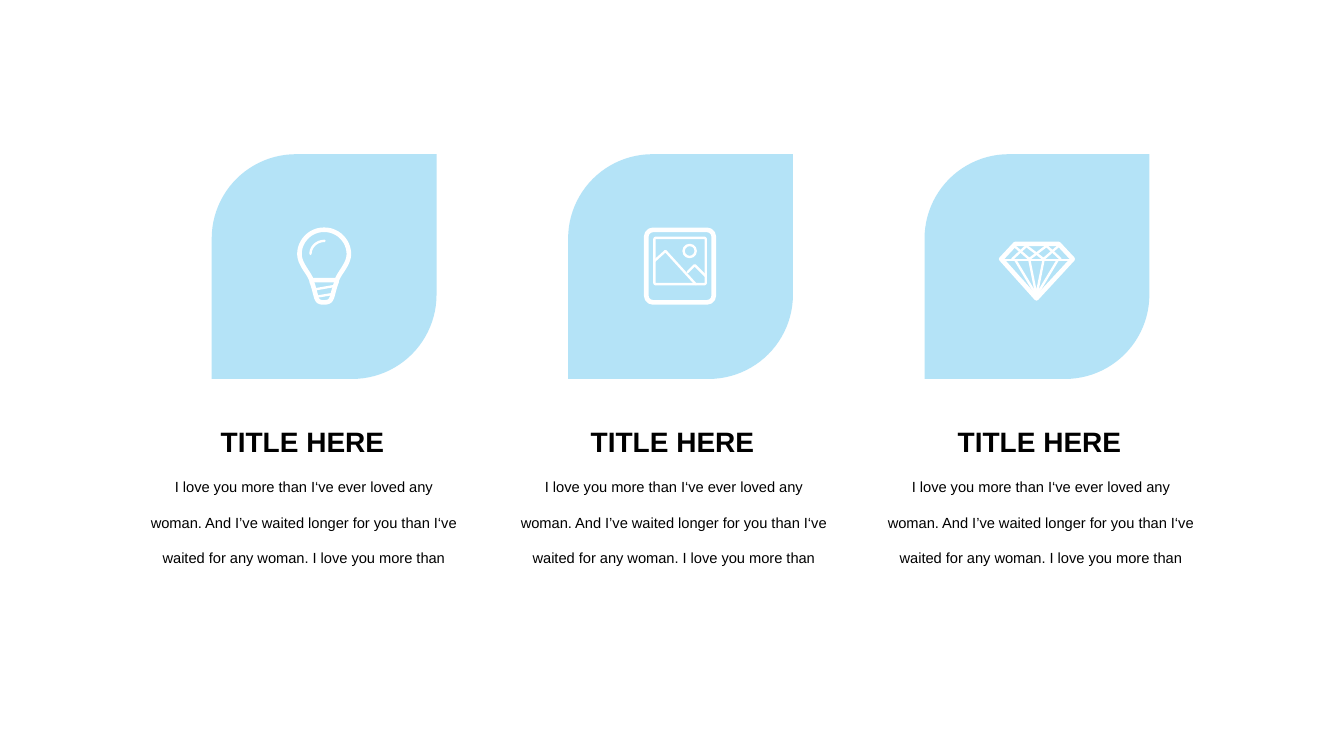
import dataclasses
import pptx
import pptx.dml.color
import pptx.enum.shapes
import pptx.enum.text
import pptx.oxml
import pptx.oxml.ns
import pptx.util
import lxml.etree

Inches = pptx.util.Inches
Pt = pptx.util.Pt
SHAPE = pptx.enum.shapes.MSO_SHAPE
ALIGN = pptx.enum.text.PP_ALIGN
QN = pptx.oxml.ns.qn


@dataclasses.dataclass(frozen=True)
class Theme:
    font: str = "Arial"
    leaf: str = "B4E3F7"
    icon: str = "FFFFFF"
    text: str = "000000"
    title_size: float = 20
    body_size: float = 10.5
    thick: float = 3.3
    thin: float = 1.7


def curve(start, *cubics, steps=12):
    points = [start]
    for b, c, d in cubics:
        a = points[-1]
        for i in range(1, steps + 1):
            t = i / steps
            weights = ((1 - t) ** 3, 3 * t * (1 - t) ** 2, 3 * t * t * (1 - t), t ** 3)
            points.append(tuple(sum(w * p[k] for w, p in zip(weights, (a, b, c, d)))
                                for k in (0, 1)))
    return points


class Slide:
    def __init__(self, prs, theme):
        self.theme = theme
        self.s = prs.slides.add_slide(prs.slide_layouts[6])

    def color(self, value):
        return pptx.dml.color.RGBColor.from_string(value)

    def outline(self, sp, width):
        sp.line.color.rgb = self.color(self.theme.icon)
        sp.line.width = Pt(width)
        ln = sp.line._get_or_add_ln()
        ln.set("cap", "rnd")
        for bevel in ln.findall(QN("a:round")):
            ln.remove(bevel)
        lxml.etree.SubElement(ln, QN("a:round"))

    def leaf(self, left, top, size):
        sp = self.s.shapes.add_shape(SHAPE.ROUND_2_DIAG_RECTANGLE, Inches(left),
                                     Inches(top), Inches(size), Inches(size))
        sp.adjustments[0] = 0.375
        sp.adjustments[1] = 0
        sp.shadow.inherit = False
        sp.fill.solid()
        sp.fill.fore_color.rgb = self.color(self.theme.leaf)
        sp.line.fill.background()

    def frame(self, kind, box, width, corner=None):
        sp = self.s.shapes.add_shape(kind, *(Inches(v) for v in box))
        if corner is not None:
            sp.adjustments[0] = corner
        sp.shadow.inherit = False
        sp.fill.background()
        self.outline(sp, width)

    def stroke(self, points, width, close=False):
        points = [(Inches(x), Inches(y)) for x, y in points]
        builder = self.s.shapes.build_freeform(*points[0], scale=1.0)
        builder.add_line_segments(points[1:], close=close)
        sp = builder.convert_to_shape()
        sp.shadow.inherit = False
        sp.fill.background()
        self.outline(sp, width)

    def line(self, start, end, width):
        sp = self.s.shapes.add_connector(pptx.enum.shapes.MSO_CONNECTOR.STRAIGHT,
                                         *(Inches(v) for v in start + end))
        lxml.etree.SubElement(sp._element.spPr, QN("a:effectLst"))
        self.outline(sp, width)

    def text(self, box, words, size, align, spacing, bold=False):
        sp = self.s.shapes.add_textbox(*(Inches(v) for v in box))
        tf = sp.text_frame
        tf.word_wrap = True
        tf.auto_size = pptx.enum.text.MSO_AUTO_SIZE.SHAPE_TO_FIT_TEXT
        p = tf.paragraphs[0]
        p.text = words
        p.alignment = align
        p.line_spacing = spacing
        p.font.name = self.theme.font
        p.font.size = Pt(size)
        p.font.bold = bold
        p.font.color.rgb = self.color(self.theme.text)

    def bulb(self):
        thick, thin = self.theme.thick, self.theme.thin
        left_side = curve((3.21, 2.28), ((3.08, 2.28), (2.97, 2.39), (2.97, 2.52)),
                          ((2.97, 2.62), (3.06, 2.7), (3.09, 2.78)))
        right_side = [(6.43 - x, y) for x, y in reversed(left_side)]
        self.stroke(left_side + right_side, thick, close=True)
        self.stroke(curve((3.09, 2.79), ((3.15, 2.95), (3.12, 3), (3.21, 3)),
                          ((3.31, 3), (3.28, 2.95), (3.34, 2.79))), thick)
        self.line((3.13, 2.87), (3.3, 2.84), thin)
        self.line((3.16, 2.94), (3.28, 2.92), thin)
        self.stroke(curve((3.08, 2.52), ((3.08, 2.45), (3.14, 2.39), (3.22, 2.39))), thin)

    def photo(self):
        thick, thin = self.theme.thick, self.theme.thin
        self.frame(SHAPE.ROUNDED_RECTANGLE, (6.41, 2.28, 0.67, 0.72), thick, 0.1)
        self.frame(SHAPE.ROUNDED_RECTANGLE, (6.49, 2.36, 0.51, 0.46), thin, 0.03)
        self.frame(SHAPE.OVAL, (6.78, 2.43, 0.12, 0.12), thin)
        self.stroke([(6.49, 2.59), (6.6, 2.49), (6.9, 2.82)], thin)
        self.stroke([(6.82, 2.7), (6.89, 2.63), (7, 2.74)], thin)

    def diamond(self):
        thick, thin = self.theme.thick, self.theme.thin
        middle, girdle = 10.28, 2.58
        self.stroke([(10.07, 2.42), (10.5, 2.42), (10.64, 2.57), (middle, 2.96),
                     (9.93, 2.57)], thick, close=True)
        self.line((9.95, girdle), (10.62, girdle), thin)
        facets = [(10.06, 2.44), (10.21, 2.57), (10.38, 2.44), (10.52, 2.57)]
        self.stroke(facets, thin)
        self.stroke([(2 * middle - x, y) for x, y in facets], thin)
        for reach in (0.07, 0.21):
            self.stroke([(middle - reach, girdle), (middle, 2.93),
                         (middle + reach, girdle)], thin)


def main():
    prs = pptx.Presentation()
    prs.slide_width = Inches(13.33)
    prs.slide_height = Inches(7.5)
    theme = Theme()
    s = Slide(prs, theme)
    body = ("I love you more than I‘ve ever loved any woman. And I’ve waited longer "
            "for you than I‘ve waited for any woman. I love you more than")
    icons = (s.bulb, s.photo, s.diamond)
    for i, (icon, left) in enumerate(zip(icons, (1.39, 5.06, 8.7))):
        s.leaf(2.1 + i * 3.535, 1.53, 2.23)
        icon()
        s.text((left, 4.52, 3.25, 1.45), body, theme.body_size, ALIGN.CENTER, 2.0)
        s.text((left + 0.7, 4, 1.85, 0.55), "TITLE HERE", theme.title_size,
               ALIGN.JUSTIFY, 1.5, bold=True)
    prs.save("out.pptx")


if __name__ == "__main__":
    main()
